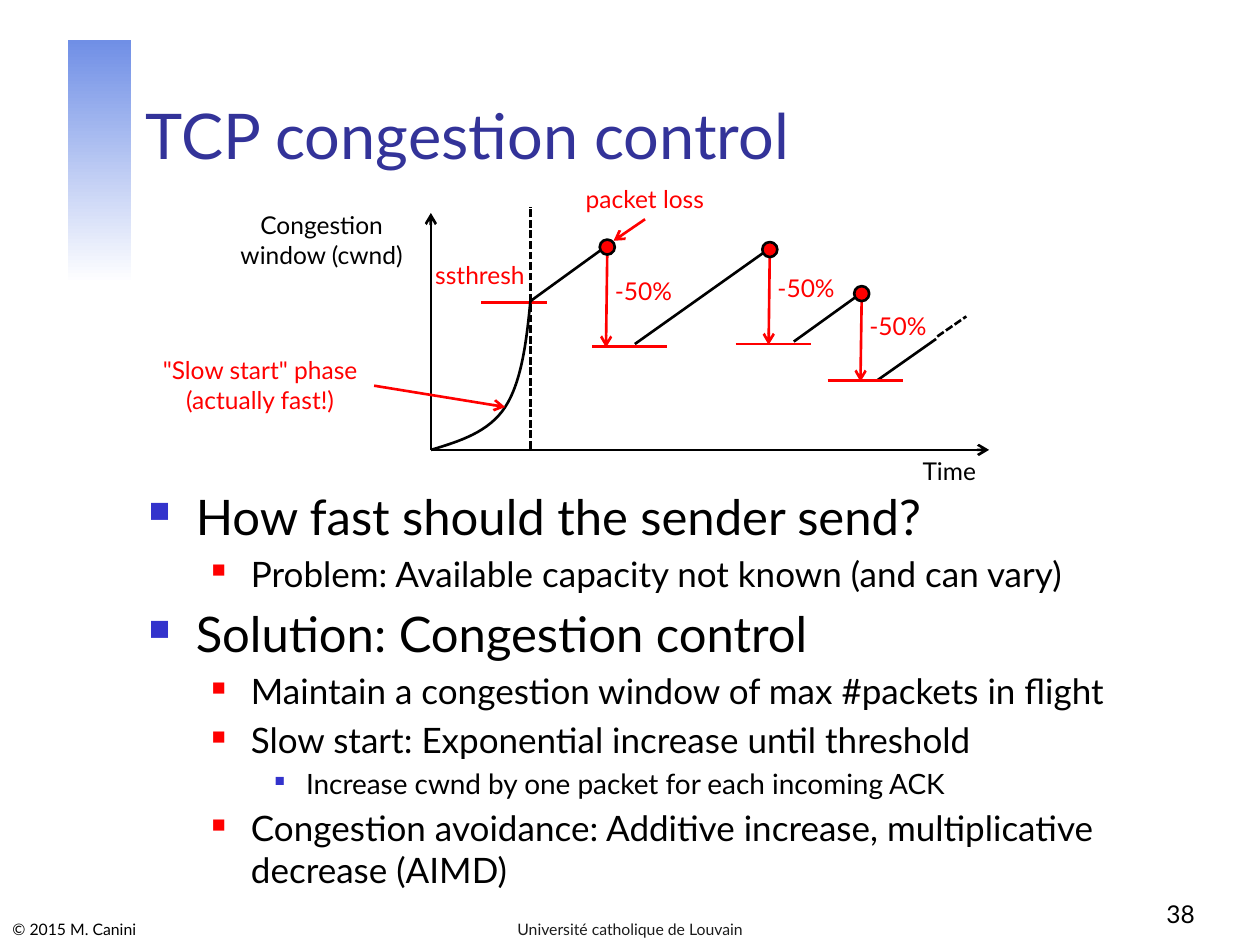
from dataclasses import dataclass

import pptx
import pptx.util
from lxml import etree
from pptx.dml.color import RGBColor
from pptx.enum.dml import MSO_LINE
from pptx.enum.shapes import MSO_CONNECTOR, MSO_SHAPE
from pptx.enum.text import MSO_ANCHOR, PP_ALIGN
from pptx.oxml.ns import qn

Pt = pptx.util.Pt


@dataclass(frozen=True)
class Theme:
    font: str = "Lato"
    black: str = "000000"
    red: str = "FF0000"
    white: str = "FFFFFF"
    title: str = "333399"
    bullet: str = "3333CC"
    band: str = "708FE6"
    footer: str = "1C1C1C"
    title_size: float = 36
    label_size: float = 14
    footer_size: float = 9
    line: float = 1.5


T = Theme()

# Per level: text size, left indent, hanging indent, bullet colour, bullet size in percent
LEVELS = [
    (28, 27, 27, T.bullet, 60),
    (20, 58.5, 22.5, T.red, 55),
    (16, 90, 18, T.bullet, 50),
]

BODY = [
    (0, "How fast should the sender send?"),
    (1, "Problem: Available capacity not known (and can vary)"),
    (0, "Solution: Congestion control"),
    (1, "Maintain a congestion window of max #packets in flight"),
    (1, "Slow start: Exponential increase until threshold"),
    (2, "Increase cwnd by one packet for each incoming ACK"),
    (1, "Congestion avoidance: Additive increase, multiplicative decrease (AIMD)"),
]


def rgb(color):
    return RGBColor.from_string(color)


def add_run(p, text, size, color):
    r = p.add_run()
    r.text = text
    r.font.name = T.font
    r.font.size = Pt(size)
    r.font.color.rgb = rgb(color)


def add_text(s, box, text, size, color, align=PP_ALIGN.LEFT,
             anchor=MSO_ANCHOR.BOTTOM, wrap=True):
    """Place a text box; a newline in the text is a line break."""
    tf = s.shapes.add_textbox(*map(Pt, box)).text_frame
    tf.word_wrap = wrap
    tf.vertical_anchor = anchor
    p = tf.paragraphs[0]
    p.alignment = align
    for i, row in enumerate(text.split("\n")):
        if i:
            p.add_line_break()
        add_run(p, row, size, color)


def add_line(s, start, end, color=T.black, arrow=False, dashed=False):
    c = s.shapes.add_connector(MSO_CONNECTOR.STRAIGHT, *map(Pt, (*start, *end)))
    c.line.color.rgb = rgb(color)
    c.line.width = Pt(T.line)
    if dashed:
        c.line.dash_style = MSO_LINE.SQUARE_DOT
    if arrow:
        etree.SubElement(c.line._get_or_add_ln(), qn("a:tailEnd"), type="arrow")
    etree.SubElement(c._element.spPr, qn("a:effectLst"))


def add_curve(s, points):
    """Draw cubic Bézier segments: a start point, then three points a segment."""
    fb = s.shapes.build_freeform(Pt(points[0][0]), Pt(points[0][1]))
    fb.add_line_segments([(Pt(x), Pt(y)) for x, y in points[1:]], close=False)
    sp = fb.convert_to_shape()
    sp.shadow.inherit = False
    sp.fill.background()
    sp.line.color.rgb = rgb(T.black)
    sp.line.width = Pt(T.line)
    steps = list(sp._element.iter(qn("a:lnTo")))
    for i in range(0, len(steps), 3):
        bezier = etree.Element(qn("a:cubicBezTo"))
        steps[i].addprevious(bezier)
        for step in steps[i:i + 3]:
            bezier.append(step[0])
            step.getparent().remove(step)


def add_band(s, box):
    sp = s.shapes.add_shape(MSO_SHAPE.RECTANGLE, *map(Pt, box))
    sp.shadow.inherit = False
    sp.line.fill.background()
    sp.fill.gradient()
    sp.fill.gradient_angle = 270
    for stop, color in zip(sp.fill.gradient_stops, (T.band, T.white)):
        stop.color.rgb = rgb(color)


def add_body(s, box):
    tf = s.shapes.add_textbox(*map(Pt, box)).text_frame
    tf.word_wrap = True
    for i, (level, text) in enumerate(BODY):
        size, left, hanging, color, percent = LEVELS[level]
        p = tf.add_paragraph() if i else tf.paragraphs[0]
        p.level = level
        p.space_before = Pt(0.2 * size if i else 0)
        pPr = p._p.get_or_add_pPr()
        pPr.set("marL", str(Pt(left)))
        pPr.set("indent", str(-Pt(hanging)))
        clr = etree.SubElement(pPr, qn("a:buClr"))
        etree.SubElement(clr, qn("a:srgbClr"), val=color)
        etree.SubElement(pPr, qn("a:buSzPct"), val=str(percent * 1000))
        etree.SubElement(pPr, qn("a:buChar"), char="■")
        add_run(p, text, size, T.black)


def add_diagram(s, box):
    """Plot cwnd over time; points are measured right and up from the axis origin."""
    left, top, width, height = box

    def at(x, y):
        return left + x, top + height - y

    def line(start, end, **style):
        add_line(s, at(*start), at(*end), **style)

    def label(x, y, w, h, text, color=T.red):
        add_text(s, (*at(x, y), w, h), text, T.label_size, color,
                 PP_ALIGN.CENTER, MSO_ANCHOR.TOP, wrap=False)

    def loss(x, y, floor, arrow_gap, level_gap, label_gap):
        """Mark a packet loss at (x, y) and the halved window below it."""
        line((x, y - arrow_gap), (x - 0.7, floor), color=T.red, arrow=True)
        line((x - level_gap, floor + 0.5), (x - level_gap + 43, floor + 0.5), color=T.red)
        radius = 4.3
        sp = s.shapes.add_shape(MSO_SHAPE.OVAL, *map(
            Pt, (*at(x - radius, y + radius), 2 * radius, 2 * radius)))
        sp.shadow.inherit = False
        sp.fill.solid()
        sp.fill.fore_color.rgb = rgb(T.red)
        sp.line.color.rgb = rgb(T.black)
        sp.line.width = Pt(T.line)
        label(x - 3.8, y - label_gap, 49, 24.5, "-50%")

    threshold = (56.9, 85)
    slow_start = (42.5, 24.5)

    line((0, 0), (width, 0), arrow=True)
    line((0, 0), (0, height), arrow=True)
    line((threshold[0], 0.7), (threshold[0], 139), dashed=True)
    line((28.8, 84.2), (66.2, 84.2), color=T.red)
    add_curve(s, [at(*pt) for pt in (
        (0, 0), (16.6, 5), (33.1, 10.1), slow_start,
        (51.8, 38.9), (54.7, 61.9), threshold)])

    for start, end in [(threshold, (98.6, 115.2)),
                       ((116.6, 60.5), (193.7, 115.2)),
                       ((207.4, 61.9), (245.5, 89.3)),
                       ((254.9, 39.6), (288.7, 63.4))]:
        line(start, end)
    line((289.4, 64.8), (306, 76.3), dashed=True)

    loss(100.8, 115.9, 58.5, 4.3, 8.6, 12.9)
    loss(193.7, 114.5, 60, 0.7, 19.5, 10.1)
    loss(246.2, 89.3, 39, 3.6, 19.5, 6.5)

    label(-117.4, 140.4, 110, 41, "Congestion\nwindow (cwnd)", T.black)
    label(273.6, 0, 45.4, 24.5, "Time", T.black)
    label(-5, 112.3, 66.2, 24.5, "ssthresh")
    label(80.6, 155.5, 83.5, 24.5, "packet loss")
    label(-162, 57.6, 129, 41, "\"Slow start\" phase\n(actually fast!)")
    line((122.4, 131.8), (104.4, 119.5), color=T.red, arrow=True)
    line((-32.4, 36.7), slow_start, color=T.red, arrow=True)


def add_footer(s, box):
    left, top, width, height = box
    add_text(s, (left, top, 217.4, height), "© 2015 M. Canini", T.footer_size, T.black)
    add_text(s, (left + (width - 227.5) / 2, top, 227.5, height),
             "Université catholique de Louvain", T.footer_size, T.footer, PP_ALIGN.CENTER)
    add_text(s, (left + width - 180, top - 21.6, 149.8, 36), "38",
             T.label_size, T.black, PP_ALIGN.RIGHT)


def main():
    prs = pptx.Presentation()
    prs.slide_width, prs.slide_height = Pt(720), Pt(540)
    s = prs.slides.add_slide(prs.slide_layouts[6])
    add_band(s, (38.9, 23, 36, 139))
    add_text(s, (76.3, 23.8, 613.4, 77.8), "TCP congestion control", T.title_size, T.title)
    add_body(s, (77.8, 274.3, 612, 245.5))
    add_diagram(s, (246.2, 121.7, 319, 135.4))
    add_footer(s, (0, 519.8, 720, 20.2))
    prs.save("out.pptx")


if __name__ == "__main__":
    main()
